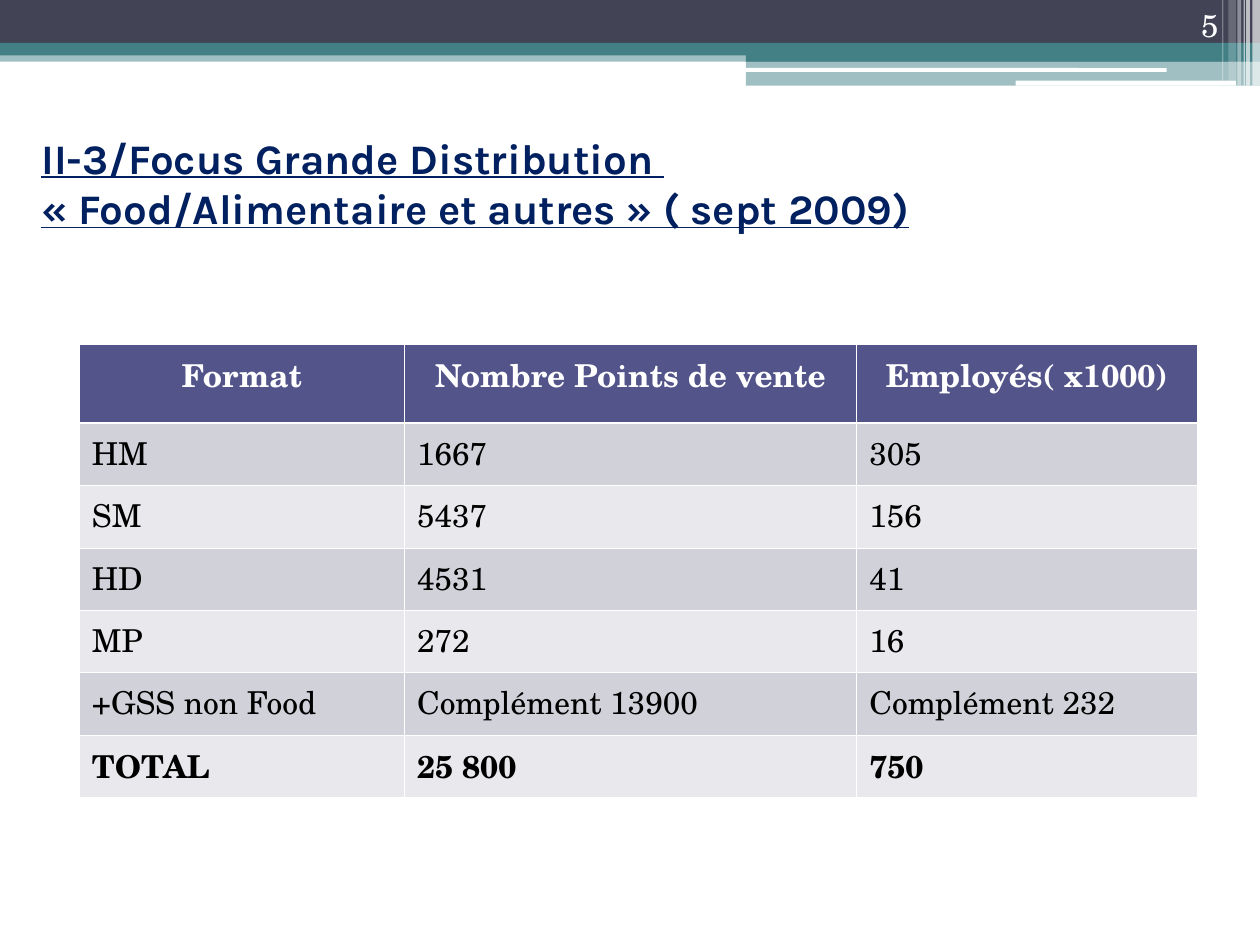
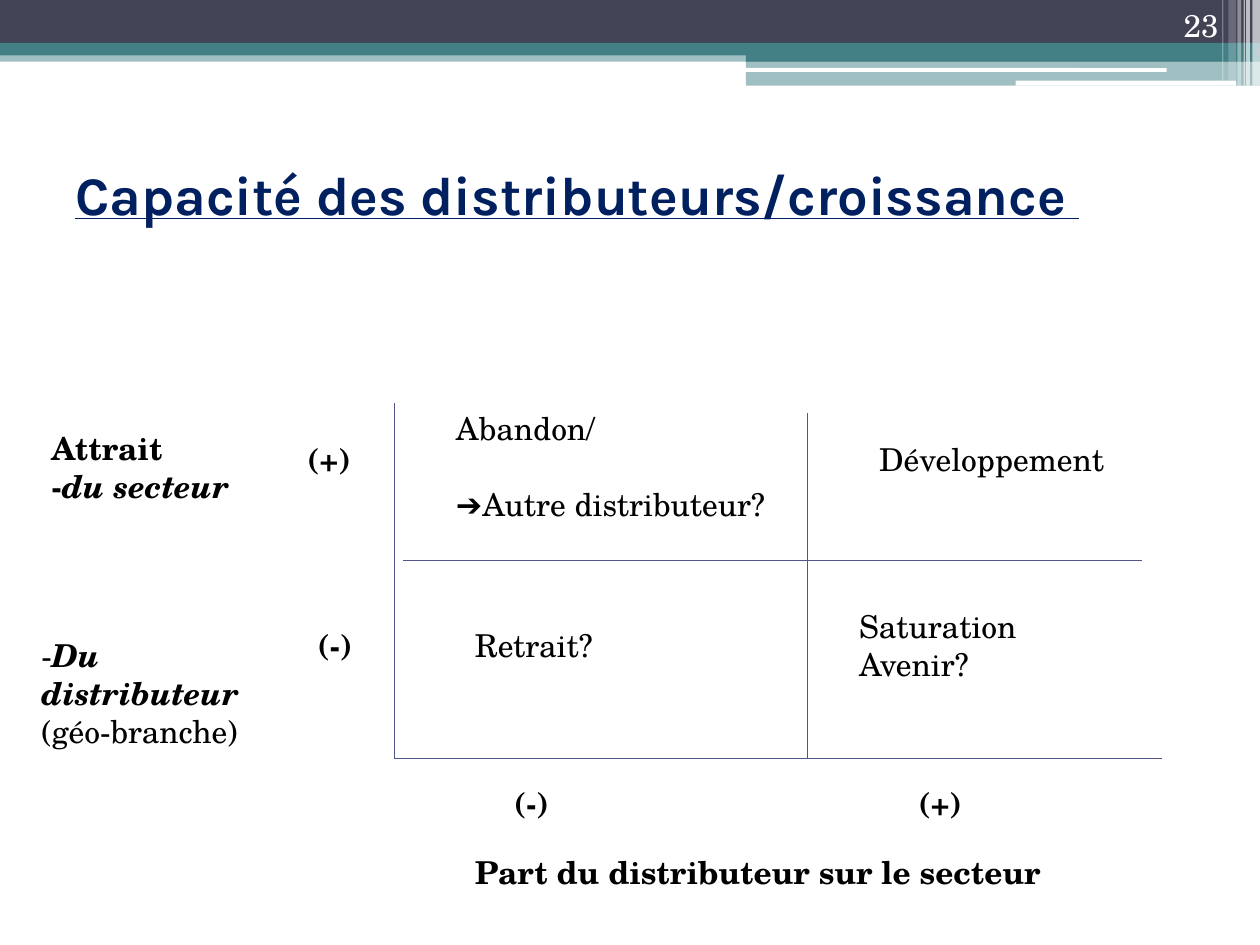
from lxml import etree
from pptx import Presentation
from pptx import util as u
from pptx.dml.color import RGBColor
from pptx.enum import shapes, text
from pptx.oxml.ns import qn

WHITE = RGBColor(0xFF, 0xFF, 0xFF)
BLACK = RGBColor(0x00, 0x00, 0x00)
SLATE = RGBColor(0x42, 0x44, 0x56)
TEAL = RGBColor(0x43, 0x80, 0x86)
NAVY = RGBColor(0x00, 0x20, 0x60)
INDIGO = RGBColor(0x53, 0x54, 0x8A)
ROW_DARK = RGBColor(0xD1, 0xD1, 0xDA)
ROW_LIGHT = RGBColor(0xE9, 0xE9, 0xED)

TITLE_FONT = "Karla"
BODY_FONT = "TeX Gyre Schola"
ARROW_FONT = "Arial"

RECT = shapes.MSO_SHAPE.RECTANGLE
ROUND = shapes.MSO_SHAPE.ROUNDED_RECTANGLE
LEFT, CENTER, RIGHT = text.PP_ALIGN.LEFT, text.PP_ALIGN.CENTER, text.PP_ALIGN.RIGHT
TOP, MIDDLE, BOTTOM = text.MSO_ANCHOR.TOP, text.MSO_ANCHOR.MIDDLE, text.MSO_ANCHOR.BOTTOM

# Header: shape, left, top, width, height, colour, opacity in percent
BANDS = [
    (RECT, 0, 0.4, 10, 0.09, TEAL, 50),
    (RECT, 0, 0, 10, 0.34, SLATE, 100),
    (RECT, 0, 0.34, 10, 0.1, TEAL, 100),
    (RECT, 5.92, 0.39, 4.08, 0.1, TEAL, 100),
    (RECT, 5.92, 0.48, 4.08, 0.2, TEAL, 50),
    (ROUND, 5.91, 0.54, 3.35, 0.03, WHITE, 100),
    (ROUND, 8.06, 0.64, 1.75, 0.04, WHITE, 100),
]
# Light stripes at the right edge: left, width, height, opacity
STRIPES = [
    (9.94, 0.06, 0.68, 65), (9.89, 0.03, 0.68, 65), (9.87, 0.01, 0.68, 60),
    (9.82, 0.03, 0.68, 40), (9.75, 0.06, 0.64, 20), (9.7, 0.01, 0.64, 30),
]


class SlideBuilder:
    def __init__(self, deck):
        self.deck = deck
        self.page = None

    def start_page(self):
        self.page = self.deck.slides.add_slide(self.deck.slide_layouts[6])
        for band in BANDS:
            self.band(*band)
        for left, width, height, opacity in STRIPES:
            self.band(RECT, left, 0, width, height, WHITE, opacity)

    def band(self, kind, left, top, width, height, colour, opacity):
        shape = self.page.shapes.add_shape(
            kind, *map(u.Inches, (left, top, width, height)))
        shape.shadow.inherit = False
        shape.line.fill.background()
        shape.fill.solid()
        shape.fill.fore_color.rgb = colour
        if opacity < 100:
            tint = shape.fill._xPr.find(".//" + qn("a:srgbClr"))
            etree.SubElement(tint, qn("a:alpha"), val=str(opacity * 1000))

    def span(self, para, words, size=18, font=BODY_FONT, colour=BLACK,
             bold=False, italic=False, underline=False):
        """Add a run; each newline in the words becomes a line break."""
        for index, line in enumerate(words.split("\n")):
            if index:
                para.add_line_break()
            span = para.add_run()
            span.text = line
            span.font.size = u.Pt(size)
            span.font.name = font
            span.font.color.rgb = colour
            span.font.bold = bold
            span.font.italic = italic
            span.font.underline = underline

    def text(self, left, top, width, height, *paragraphs,
             align=LEFT, anchor=TOP, gap=0):
        """Add a text box; a paragraph is a list of (words, style) runs."""
        box = self.page.shapes.add_textbox(
            *map(u.Inches, (left, top, width, height)))
        frame = box.text_frame
        frame.word_wrap = True
        frame.vertical_anchor = anchor
        for index, runs in enumerate(paragraphs):
            para = frame.add_paragraph() if index else frame.paragraphs[0]
            para.alignment = align
            if index and gap:
                para.space_before = u.Pt(gap)
            for words, style in runs:
                self.span(para, words, **style)

    def title(self, left, top, width, height, words, size):
        style = dict(size=size, font=TITLE_FONT, colour=NAVY,
                     bold=True, underline=True)
        self.text(left, top, width, height, [(words, style)], anchor=MIDDLE)

    def page_number(self, number):
        self.text(8.94, 0, 0.83, 0.4, [(str(number), dict(colour=WHITE))],
                  align=RIGHT, anchor=BOTTOM)

    def line(self, x1, y1, x2, y2):
        line = self.page.shapes.add_connector(
            shapes.MSO_CONNECTOR.STRAIGHT, *map(u.Inches, (x1, y1, x2, y2)))
        line.line.color.rgb = INDIGO
        line.line.width = u.Pt(0.75)
        etree.SubElement(line._element.spPr, qn("a:effectLst"))

    def cell_borders(self, cell, top, bottom):
        properties = cell._tc.get_or_add_tcPr()
        for side, width in (("L", 0.45), ("R", 0.45), ("T", top), ("B", bottom)):
            border = etree.SubElement(
                properties, qn("a:ln" + side), w=str(u.Pt(width)))
            fill = etree.SubElement(border, qn("a:solidFill"))
            etree.SubElement(fill, qn("a:srgbClr"), val=str(WHITE))

    def table(self, left, top, widths, heights, rows):
        """Add a table with a heading row, banded rows and a bold last row."""
        table = self.page.shapes.add_table(
            len(rows), len(widths), u.Inches(left), u.Inches(top),
            u.Inches(sum(widths)), u.Inches(sum(heights))).table
        for column, width in zip(table.columns, widths):
            column.width = u.Inches(width)
        for r, values in enumerate(rows):
            heading = r == 0
            table.rows[r].height = u.Inches(heights[r])
            for c, value in enumerate(values):
                cell = table.cell(r, c)
                self.cell_borders(cell, 1.47 if r == 1 else 0.45,
                                  1.47 if heading else 0.45)
                cell.fill.solid()
                cell.fill.fore_color.rgb = (
                    INDIGO if heading else ROW_DARK if r % 2 else ROW_LIGHT)
                para = cell.text_frame.paragraphs[0]
                para.alignment = CENTER if heading else LEFT
                self.span(para, value, colour=WHITE if heading else BLACK,
                          bold=heading or r == len(rows) - 1)


def retail_formats(builder):
    builder.start_page()
    builder.title(0.23, 0.94, 9.45, 1.02,
                  "II-3/Focus Grande Distribution \n"
                  "« Food/Alimentaire et autres » ( sept 2009)", 24)
    builder.table(0.63, 2.73, [2.58, 3.59, 2.7], [0.63] + [0.495] * 6, [
        ("Format", "Nombre Points de vente", "Employés( x1000)"),
        ("HM", "1667", "305"),
        ("SM", "5437", "156"),
        ("HD", "4531", "41"),
        ("MP", "272", "16"),
        ("+GSS non Food", "Complément 13900", "Complément 232"),
        ("TOTAL", "25 800", "750"),
    ])
    builder.page_number(5)


def growth_matrix(builder):
    plain, bold = {}, dict(bold=True)
    slanted = dict(bold=True, italic=True)
    axis_left, axis_bottom, middle_x, middle_y = 3.13, 6.02, 6.41, 4.45

    builder.start_page()
    builder.title(0.5, 0.99, 9, 1.09, "Capacité des distributeurs/croissance ", 31)

    builder.line(axis_left, 3.2, axis_left, axis_bottom)
    builder.line(axis_left, axis_bottom, 9.22, axis_bottom)
    builder.line(3.2, middle_y, 9.06, middle_y)
    builder.line(middle_x, 3.28, middle_x, axis_bottom)

    builder.text(3.67, 4.92, 2.27, 0.4, [("Retrait?", plain)])
    builder.text(6.72, 4.77, 2.27, 0.7,
                 [("Saturation", plain)], [("Avenir?", plain)])
    builder.text(3.52, 3.2, 2.89, 1, [("Abandon/", plain)],
                 [("➔", dict(font=ARROW_FONT)), ("Autre distributeur?", plain)],
                 gap=21.5)
    builder.text(6.88, 3.44, 2.34, 0.4, [("Développement", plain)])

    builder.text(0.31, 3.36, 1.8, 0.7, [("Attrait", bold)],
                 [("-", bold), ("du secteur", slanted)])
    builder.text(0.23, 5, 2.27, 1, [("-", plain), ("Du distributeur", slanted)],
                 [("(géo-branche)", plain)])

    for left, top, width, sign in ((2.34, 3.44, 0.63, "(+)"),
                                   (2.42, 4.92, 0.55, "(-)"),
                                   (3.98, 6.17, 0.78, "(-)"),
                                   (7.19, 6.17, 1.09, "(+)")):
        builder.text(left, top, width, 0.4, [(sign, bold)])
    builder.text(3.67, 6.72, 4.84, 0.4,
                 [("Part du distributeur sur le secteur", bold)])
    builder.page_number(23)


def main():
    deck = Presentation()
    deck.slide_width, deck.slide_height = u.Inches(10), u.Inches(7.5)
    builder = SlideBuilder(deck)
    retail_formats(builder)
    growth_matrix(builder)
    deck.save("out.pptx")


if __name__ == "__main__":
    main()
